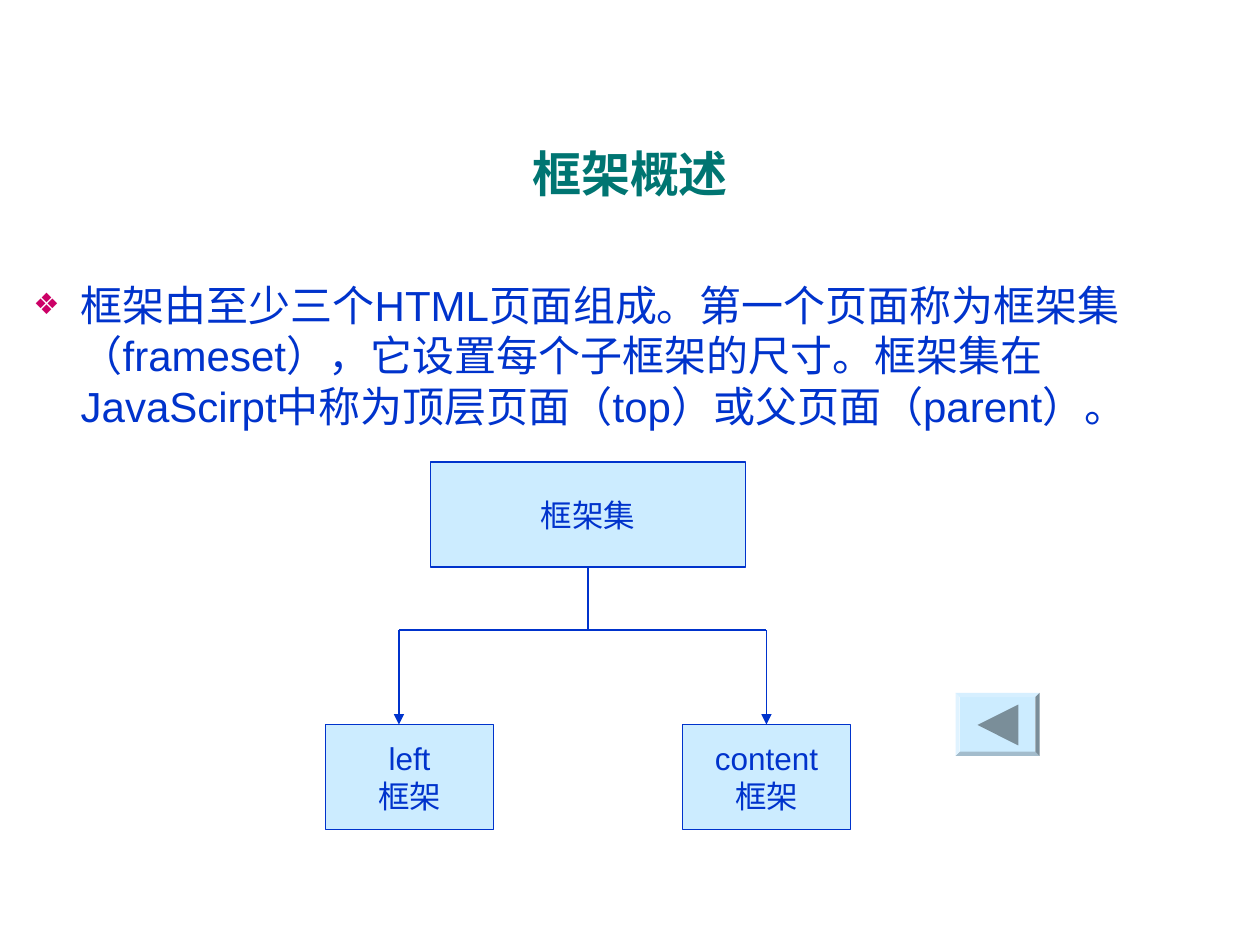
from lxml import etree
from pptx import Presentation
from pptx.dml.color import RGBColor
from pptx.enum.shapes import MSO_CONNECTOR, MSO_SHAPE
from pptx.enum.text import MSO_ANCHOR, PP_ALIGN
from pptx.oxml.ns import qn
from pptx.util import Pt

PX = 7620  # EMU per px: 120 px to the inch
TITLE_ONLY = 5
FONT = "Arial"
COLORS = {
    "title": "007572",
    "ink": "0033CC",
    "bullet": "CC0066",
    "box": "CCECFF",
    "arrow": "7A8E99",
}
RECTANGLE, BEVEL, TRIANGLE = MSO_SHAPE.RECTANGLE, MSO_SHAPE.BEVEL, MSO_SHAPE.ISOSCELES_TRIANGLE
STRAIGHT = MSO_CONNECTOR.STRAIGHT
CENTER, LEFT = PP_ALIGN.CENTER, PP_ALIGN.LEFT
MIDDLE = MSO_ANCHOR.MIDDLE
TOP_SIDE, BOTTOM_SIDE = 0, 2


def color(name):
    return RGBColor.from_string(COLORS[name])


def px(*lengths):
    return [length * PX for length in lengths]


def style(para, size, ink, align=CENTER, bold=False):
    para.alignment = align
    font = para.font
    font.name, font.size, font.bold = FONT, Pt(size), bold
    font.color.rgb = color(ink)


def add_bullet(para, char, ink, percent, indent):
    props = para._p.get_or_add_pPr()
    props.set("marL", str(indent * PX))
    props.set("indent", str(-indent * PX))
    tint = etree.SubElement(props, qn("a:buClr"))
    etree.SubElement(tint, qn("a:srgbClr"), val=COLORS[ink])
    etree.SubElement(props, qn("a:buSzPct"), val=str(percent * 1000))
    etree.SubElement(props, qn("a:buFont"), typeface=FONT)
    etree.SubElement(props, qn("a:buChar"), char=char)


def add_title(page, box, text):
    title = page.shapes.title
    title.left, title.top, title.width, title.height = px(*box)
    title.text_frame.text = text
    title.text_frame.vertical_anchor = MIDDLE
    style(title.text_frame.paragraphs[0], 28, "title", bold=True)


def add_body(page, box, text):
    frame = page.shapes.add_textbox(*px(*box)).text_frame
    frame.word_wrap = True
    para = frame.paragraphs[0]
    para.text = text
    add_bullet(para, "❖", "bullet", 70, 45)
    style(para, 24, "ink", LEFT)


def add_shape(page, kind, box, fill):
    shape = page.shapes.add_shape(kind, *px(*box))
    shape.shadow.inherit = False
    shape.fill.solid()
    shape.fill.fore_color.rgb = color(fill)
    shape.line.fill.background()
    return shape


def add_node(page, box, text):
    node = add_shape(page, RECTANGLE, box, "box")
    node.line.color.rgb = color("ink")
    node.line.width = Pt(0.75)
    frame = node.text_frame
    frame.text = text
    frame.word_wrap = False
    frame.vertical_anchor = MIDDLE
    for para in frame.paragraphs:
        style(para, 18, "ink")
    return node


def add_line(page, start, end, arrow=False):
    line = page.shapes.add_connector(STRAIGHT, *px(*start, *end))
    line.line.color.rgb = color("ink")
    line.line.width = Pt(0.75)
    if arrow:
        etree.SubElement(line.line._get_or_add_ln(), qn("a:tailEnd"), type="triangle")
    etree.SubElement(line._element.spPr, qn("a:effectLst"))
    return line


def add_frame_tree(page, box):
    left, top, width, height = box
    node_height, child_width = 100, 160
    child_top = top + height - node_height
    bar_y = top + 160
    root_x = left + 250
    left_x, right_x = left + 70, left + width - child_width // 2

    # Frameset and its two frames
    frameset = add_node(page, (root_x - 150, top, 300, node_height), "框架集")
    add_node(page, (left, child_top, child_width, node_height), "left\n框架")
    content = add_node(page, (left + width - child_width, child_top, child_width, node_height),
                       "content\n框架")

    # Stem, crossbar and arrows
    stem = add_line(page, (root_x, top + node_height), (root_x, bar_y))
    stem.begin_connect(frameset, BOTTOM_SIDE)
    add_line(page, (left_x, bar_y), (right_x, bar_y))
    add_line(page, (left_x, bar_y), (left_x, child_top), arrow=True)
    right_arrow = add_line(page, (right_x, bar_y), (right_x, child_top), arrow=True)
    right_arrow.end_connect(content, TOP_SIDE)


def add_back_button(page, box):
    left, top, width, height = box
    button = add_shape(page, BEVEL, box, "box")
    button.adjustments[0] = 4 / height
    side = 39
    arrow_box = (left + (width - side + 1) // 2, top + (height - side + 1) // 2, side, side)
    add_shape(page, TRIANGLE, arrow_box, "arrow").rotation = 270


def main():
    deck = Presentation()
    deck.slide_width, deck.slide_height = px(1200, 900)
    page = deck.slides.add_slide(deck.slide_layouts[TITLE_ONLY])
    add_title(page, (40, 90, 1120, 150), "框架概述")
    add_body(page, (20, 260, 1120, 510),
             "框架由至少三个HTML页面组成。第一个页面称为框架集（frameset），"
             "它设置每个子框架的尺寸。框架集在JavaScirpt中称为顶层页面（top）"
             "或父页面（parent）。")
    add_frame_tree(page, (310, 440, 500, 350))
    add_back_button(page, (910, 660, 80, 60))
    deck.save("out.pptx")


if __name__ == "__main__":
    main()
